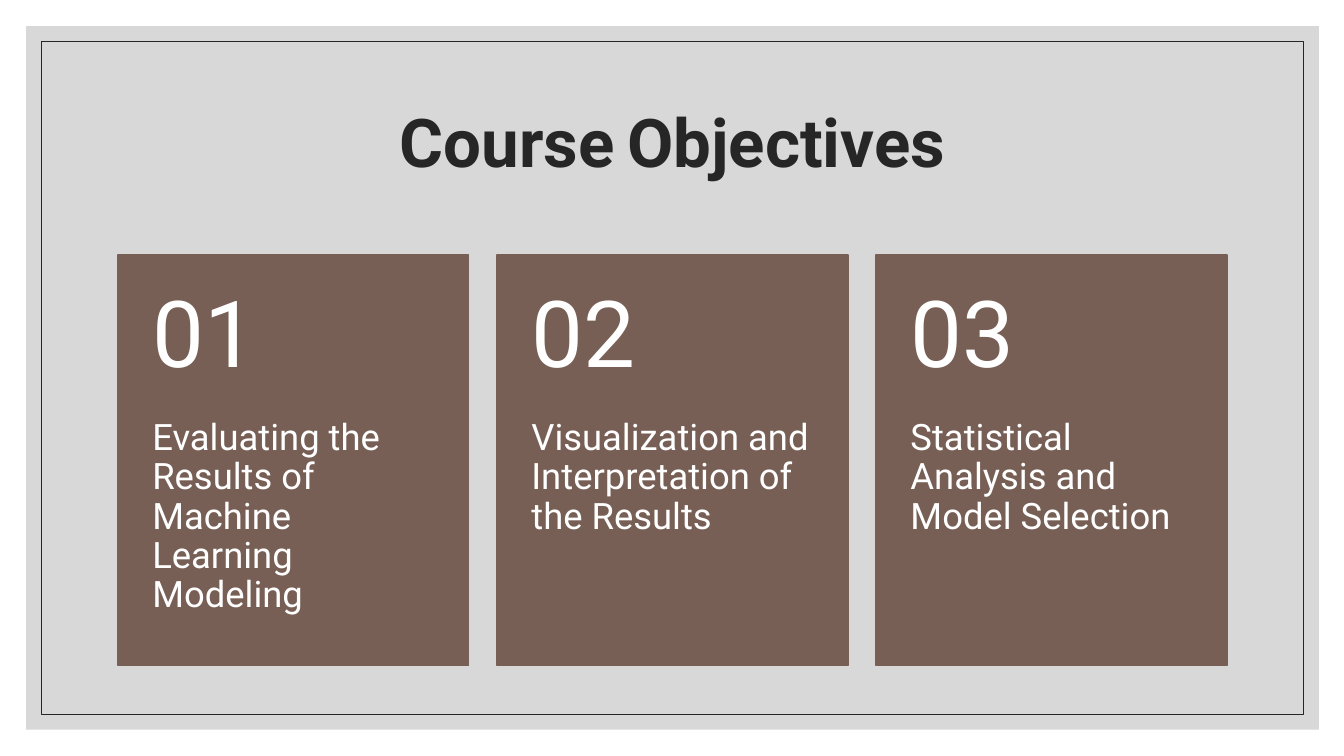
from lxml.etree import SubElement
from pptx import Presentation
from pptx.dml.color import RGBColor
from pptx.enum.shapes import MSO_SHAPE as Shape
from pptx.enum.text import MSO_ANCHOR as Anchor, PP_ALIGN as Align
from pptx.oxml.ns import qn
from pptx.util import Inches, Pt

COLORS = {"panel": "BFBFBF", "ink": "262626", "card": "775F55", "text": "FFFFFF"}
FONT = "Roboto"
OBJECTIVES = [
    "Evaluating the Results of Machine Learning Modeling",
    "Visualization and Interpretation of the Results",
    "Statistical Analysis and Model Selection",
]


def color(name):
    return RGBColor.from_string(COLORS[name])


def add_rect(shapes, box, fill=None, line=None, width=1):
    sp = shapes.add_shape(Shape.RECTANGLE, *map(Inches, box))
    sp.shadow.inherit = False
    if fill:
        sp.fill.solid()
        sp.fill.fore_color.rgb = color(fill)
    else:
        sp.fill.background()
    if line:
        sp.line.color.rgb = color(line)
        sp.line.width = Pt(width)
    else:
        sp.line.fill.background()
    return sp


def format_frame(tf, anchor, margins):
    values = {"word_wrap": True, "vertical_anchor": anchor}
    sides = ("margin_left", "margin_top", "margin_right", "margin_bottom")
    values.update(zip(sides, map(Inches, margins)))
    for name, value in values.items():
        setattr(tf, name, value)


def add_run(p, text, size, ink, bold=False):
    r = p.add_run()
    r.text = text
    for name, value in {"name": FONT, "size": Pt(size), "bold": bold}.items():
        setattr(r.font, name, value)
    r.font.color.rgb = color(ink)


def add_label(shapes, box, text, size, anchor, margins):
    tf = shapes.add_textbox(*map(Inches, box)).text_frame
    format_frame(tf, anchor, margins)
    p = tf.paragraphs[0]
    p.line_spacing = 0.9
    add_run(p, text, size, "text")


def add_backdrop(s, box):
    x, y, w, h = box
    panel = add_rect(s.shapes, box, fill="panel")
    tint = panel.fill._xPr.find(".//" + qn("a:srgbClr"))
    SubElement(tint, qn("a:alpha"), val="60000")
    inset = 0.15
    border = (x + inset, y + inset, w - 2 * inset, h - 2 * inset)
    add_rect(s.shapes, border, line="ink", width=0.5)


def add_title(s, box):
    title = s.shapes.title
    title._element.getparent().append(title._element)
    for name, value in zip(("left", "top", "width", "height"), box):
        setattr(title, name, Inches(value))
    tf = title.text_frame
    format_frame(tf, Anchor.MIDDLE, (0.1, 0.05, 0.1, 0.05))
    p = tf.paragraphs[0]
    p.alignment = Align.CENTER
    p.line_spacing = 0.9
    for text, size in (("Course", 48), (" ", 36), ("Objectives", 48)):
        add_run(p, text, size, "ink", bold=True)


def add_card(s, box, number, text):
    x, y, w, h = box
    head = 0.4 * h
    shapes = s.shapes.add_group_shape().shapes
    add_rect(shapes, box, fill="card", line="card")
    add_label(shapes, (x, y + head, w, h - head), text, 26,
              Anchor.TOP, (0.34, 0, 0.34, 0.36))
    add_label(shapes, (x, y, w, head), f"{number:02}", 66,
              Anchor.MIDDLE, (0.34, 0.18, 0.34, 0.18))


def add_cards(s, box):
    x, y, w, h = box
    gap = 0.28
    card_w = (w - gap * (len(OBJECTIVES) - 1)) / len(OBJECTIVES)
    for i, text in enumerate(OBJECTIVES):
        add_card(s, (x + i * (card_w + gap), y, card_w, h), i + 1, text)


def main():
    prs = Presentation()
    prs.slide_width, prs.slide_height = Inches(13.33), Inches(7.5)
    s = prs.slides.add_slide(prs.slide_layouts[5])
    add_backdrop(s, (0.26, 0.26, 12.82, 6.98))
    add_title(s, (1.17, 0.7, 11, 1.5))
    add_cards(s, (1.17, 2.53, 11, 4.07))
    prs.save("out.pptx")


if __name__ == "__main__":
    main()
